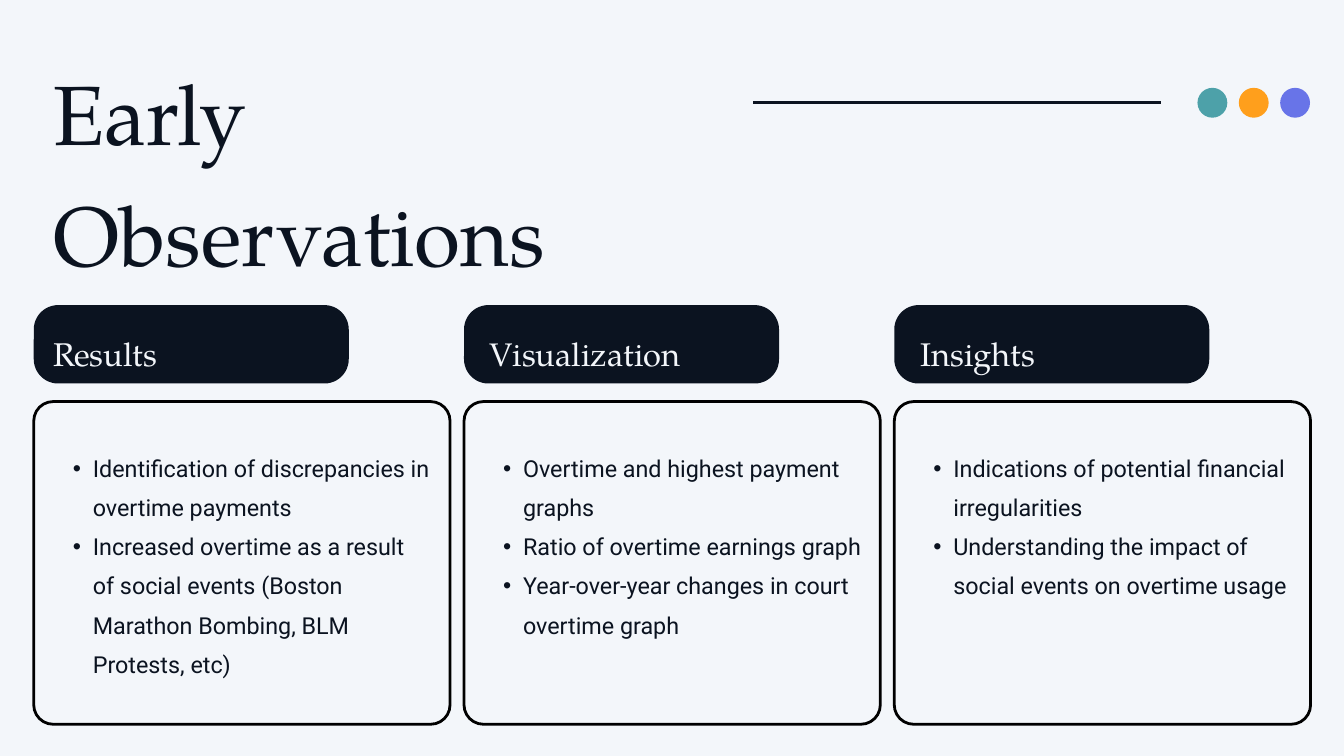
from lxml.etree import SubElement
from pptx import Presentation
from pptx.dml.color import RGBColor
from pptx.enum.shapes import MSO_CONNECTOR, MSO_SHAPE
from pptx.oxml.ns import qn
from pptx.util import Pt

NAVY, PALE, BLACK = "0B1320", "F3F6FA", "000000"
SERIF, SANS = "TeX Gyre Pagella", "Roboto"


def color(hex_string):
    return RGBColor.from_string(hex_string)


def add_text(box, lines, font_name, size, font_color, spacing, bullets=False):
    """Add a text box without insets, one paragraph per line."""
    frame = slide.shapes.add_textbox(*map(Pt, box)).text_frame
    frame.word_wrap = True
    frame.margin_left = frame.margin_right = 0
    frame.margin_top = frame.margin_bottom = 0
    for index, line in enumerate(lines):
        paragraph = frame.add_paragraph() if index else frame.paragraphs[0]
        paragraph.text = line
        paragraph.line_spacing = spacing
        if bullets:
            paragraph.level = 1
            properties = paragraph._p.get_or_add_pPr()
            properties.set("marL", str(Pt(42.5)))
            properties.set("indent", str(-Pt(21.5)))
            bullet_color = SubElement(properties, qn("a:buClr"))
            SubElement(bullet_color, qn("a:srgbClr"), val=font_color)
            SubElement(properties, qn("a:buFont"), typeface="Arial")
            SubElement(properties, qn("a:buChar"), char="•")
        font = paragraph.font
        font.name, font.size = font_name, Pt(size)
        font.color.rgb = color(font_color)


presentation = Presentation()
presentation.slide_width, presentation.slide_height = Pt(1440), Pt(810)
slide = presentation.slides.add_slide(presentation.slide_layouts[6])
slide.background.fill.solid()
slide.background.fill.fore_color.rgb = color(PALE)

# Title
add_text((56.9, 44, 738.7, 240), ["Early", "Observations"], SERIF, 90, NAVY, 1.2)

# Columns: heading, heading left offset, bullet points
columns = [
    ("Results", 21, [
        "Identification of discrepancies in overtime payments",
        "Increased overtime as a result of social events "
        "(Boston Marathon Bombing, BLM Protests, etc)",
    ]),
    ("Visualization", 28, [
        "Overtime and highest payment graphs",
        "Ratio of overtime earnings graph",
        "Year-over-year changes in court overtime graph",
    ]),
    ("Insights", 28, [
        "Indications of potential financial irregularities",
        "Understanding the impact of social events on overtime usage",
    ]),
]
for index, (heading, heading_offset, points) in enumerate(columns):
    left = 36.2 + 461 * index

    panel = slide.shapes.add_shape(
        MSO_SHAPE.ROUNDED_RECTANGLE, Pt(left), Pt(430.3), Pt(446), Pt(345.7))
    panel.adjustments[0] = 0.06
    panel.shadow.inherit = False
    panel.fill.background()
    panel.line.color.rgb = color(BLACK)
    panel.line.width = Pt(3)

    tab = slide.shapes.add_shape(
        MSO_SHAPE.ROUNDED_RECTANGLE, Pt(left), Pt(326.9), Pt(337.5), Pt(84))
    tab.adjustments[0] = 0.31
    tab.shadow.inherit = False
    tab.fill.solid()
    tab.fill.fore_color.rgb = color(NAVY)
    tab.line.fill.background()

    add_text((left + 20.8, 474.5, 404.5, 271), points, SANS, 25, NAVY, 1.4, bullets=True)
    add_text((left + heading_offset - 0.3, 344.9, 280, 42.5), [heading],
             SERIF, 35, PALE, 1.3)

# Rule and dots at the top right
rule = slide.shapes.add_connector(
    MSO_CONNECTOR.STRAIGHT, Pt(807), Pt(109.8), Pt(1243.8), Pt(109.8))
rule.line.color.rgb = color(NAVY)
rule.line.width = Pt(3)
SubElement(rule._element.spPr, qn("a:effectLst"))

for index, dot_color in enumerate(["4DA1A9", "FF9F1C", "6874E8"]):
    dot = slide.shapes.add_shape(
        MSO_SHAPE.OVAL, Pt(1283 + 44.3 * index), Pt(94.1), Pt(32), Pt(32))
    dot.shadow.inherit = False
    dot.fill.solid()
    dot.fill.fore_color.rgb = color(dot_color)
    dot.line.fill.background()

presentation.save("out.pptx")
